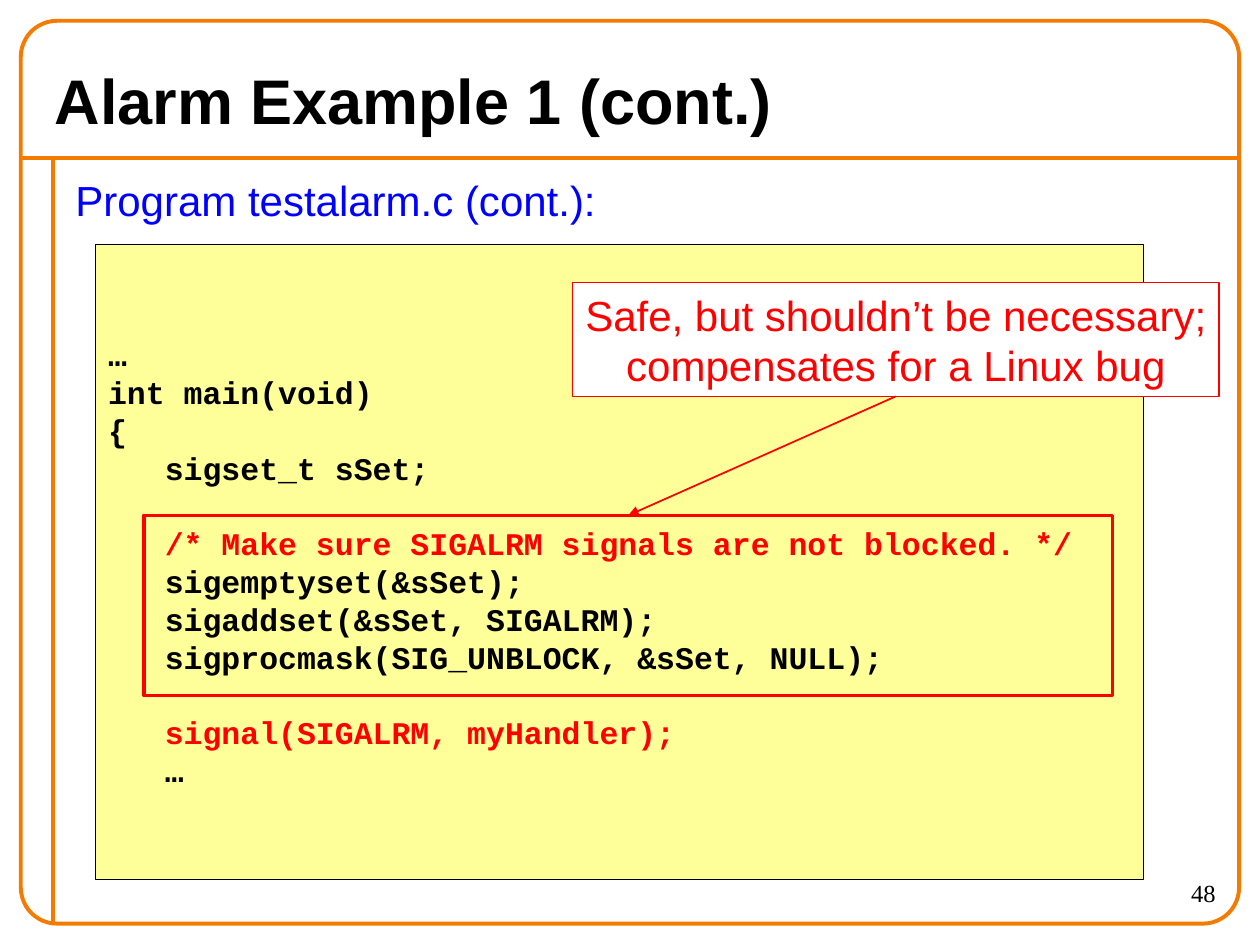
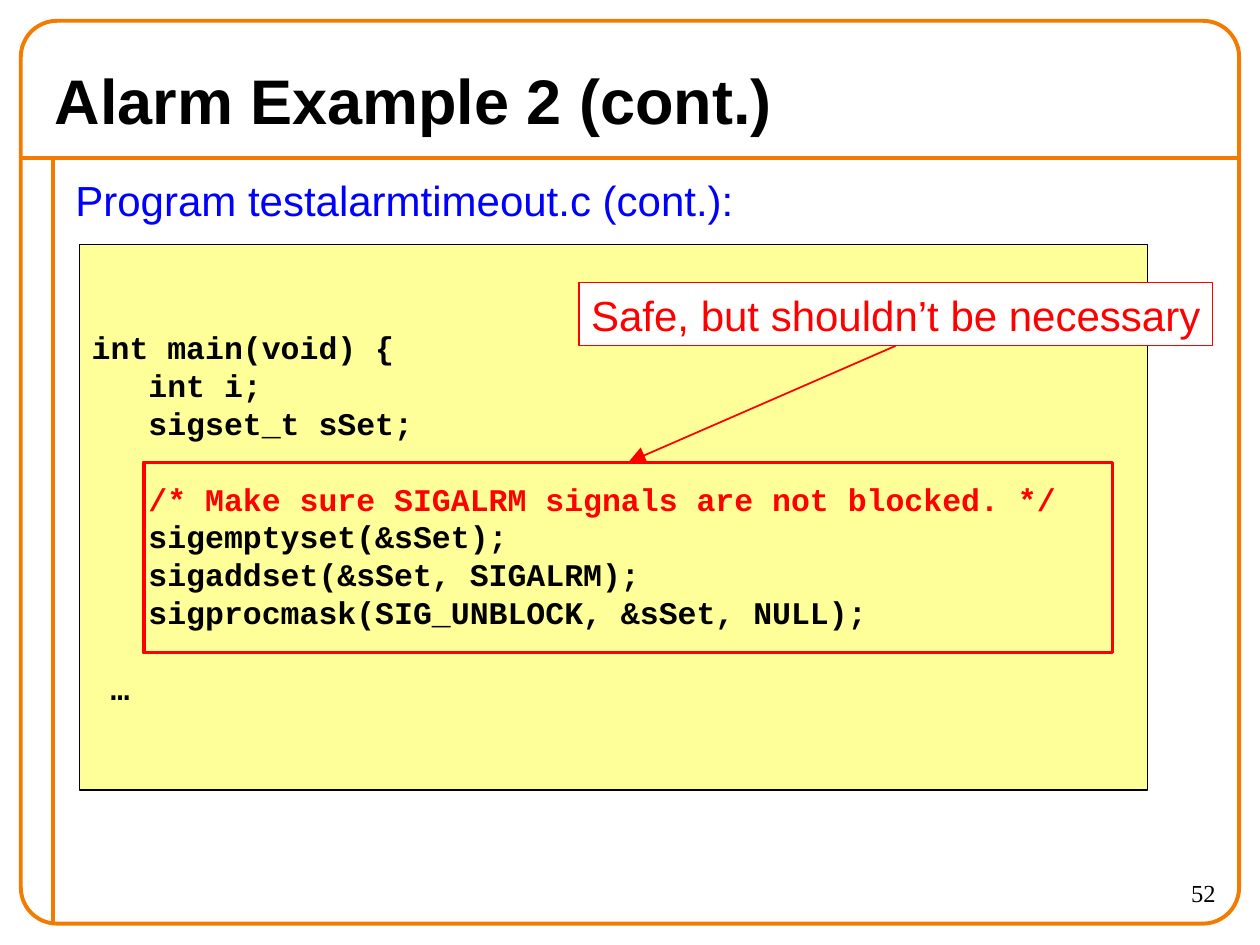
from dataclasses import dataclass

from pptx import Presentation
from pptx import util as u
from pptx.dml.color import RGBColor
from pptx.enum import shapes, text
from pptx.oxml import parse_xml
from pptx.oxml.ns import nsdecls, qn

# Shared colours and text styles
ORANGE, BLACK, WHITE = "F47A00", "000000", "FFFFFF"
BLUE, RED, YELLOW = "0000FF", "FF0000", "FFFF99"
LEFT, CENTER, RIGHT = text.PP_ALIGN.LEFT, text.PP_ALIGN.CENTER, text.PP_ALIGN.RIGHT
TOP, MIDDLE = text.MSO_ANCHOR.TOP, text.MSO_ANCHOR.MIDDLE
LEADING = 1.2  # line height relative to the text size


@dataclass(frozen=True)
class TextStyle:
    font: str
    size: int
    color: str
    bold: bool = False
    align: text.PP_ALIGN = LEFT
    anchor: text.MSO_ANCHOR = TOP
    wrap: bool = True


TITLE = TextStyle("Arial", 36, BLACK, bold=True, anchor=MIDDLE)
SUBTITLE = TextStyle("Arial", 24, BLUE)
CODE = TextStyle("Courier New", 18, BLACK, bold=True, anchor=MIDDLE)
CALLOUT = TextStyle("Arial", 24, RED, align=CENTER, wrap=False)
NUMBER = TextStyle("Times New Roman", 14, BLACK, align=RIGHT)


@dataclass(frozen=True)
class Area:
    """Left, top, width and height in centimetres."""
    left: float
    top: float
    width: float
    height: float

    def lengths(self) -> tuple:
        return tuple(u.Cm(v) for v in (self.left, self.top, self.width, self.height))


@dataclass(frozen=True)
class CodeSlide:
    title: str
    subtitle: str
    number: int
    code: str
    code_area: Area
    callout: str
    callout_width: float
    highlight: Area
    arrow_size: str


# Slide content
UNBLOCK = """
   /* Make sure SIGALRM signals are not blocked. */
   sigemptyset(&sSet);
   sigaddset(&sSet, SIGALRM);
   sigprocmask(SIG_UNBLOCK, &sSet, NULL);
"""
RED_STARTS = ("/*", "signal(")

SLIDES = [
    CodeSlide(
        title="Alarm Example 1 (cont.)",
        subtitle="Program testalarm.c (cont.):",
        number=48,
        code=f"""…
int main(void)
{{
   sigset_t sSet;
{UNBLOCK}
   signal(SIGALRM, myHandler);
   …""",
        code_area=Area(1.93, 4.93, 21.13, 12.8),
        callout="Safe, but shouldn’t be necessary;\ncompensates for a Linux bug",
        callout_width=13.03,
        highlight=Area(2.9, 10.39, 19.53, 3.63),
        arrow_size="med",
    ),
    CodeSlide(
        title="Alarm Example 2 (cont.)",
        subtitle="Program testalarmtimeout.c (cont.):",
        number=52,
        code=f"""int main(void) {{
   int i;
   sigset_t sSet;
{UNBLOCK}
 …""",
        code_area=Area(1.6, 4.93, 21.54, 11),
        callout="Safe, but shouldn’t be necessary",
        callout_width=12.78,
        highlight=Area(2.9, 9.32, 19.53, 3.84),
        arrow_size="lg",
    ),
]


# Drawing helpers
def rgb(color: str) -> RGBColor:
    return RGBColor.from_string(color)


def set_all(target, values: dict) -> None:
    for name, value in values.items():
        setattr(target, name, value)


def write(shape, content: str, style: TextStyle) -> None:
    """Write one paragraph per line; an empty line becomes space before the next."""
    frame = shape.text_frame
    set_all(frame, {
        "auto_size": text.MSO_AUTO_SIZE.NONE, "word_wrap": style.wrap,
        "vertical_anchor": style.anchor,
        "margin_left": u.Cm(0.25), "margin_right": u.Cm(0.25),
        "margin_top": u.Cm(0.13), "margin_bottom": u.Cm(0.13),
    })
    line_height = u.Pt(style.size * LEADING)
    para, gap = None, 0
    for line in content.split("\n"):
        if not line:
            gap = line_height
            continue
        para = frame.add_paragraph() if para else frame.paragraphs[0]
        set_all(para, {"alignment": style.align, "line_spacing": line_height,
                       "space_before": gap})
        span = para.add_run()
        span.text = line
        set_all(span.font, {"name": style.font, "size": u.Pt(style.size),
                            "bold": style.bold})
        is_red = line.lstrip().startswith(RED_STARTS)
        span.font.color.rgb = rgb(RED if is_red else style.color)
        gap = 0


def add_text(page, area: Area, content: str, style: TextStyle) -> None:
    write(page.shapes.add_textbox(*area.lengths()), content, style)


def add_box(page, area: Area, line: str, weight: float, fill: str = "",
            kind: shapes.MSO_SHAPE = shapes.MSO_SHAPE.RECTANGLE):
    box = page.shapes.add_shape(kind, *area.lengths())
    box.shadow.inherit = False
    if fill:
        box.fill.solid()
        box.fill.fore_color.rgb = rgb(fill)
    else:
        box.fill.background()
    box.line.color.rgb = rgb(line)
    box.line.width = u.Pt(weight)
    return box


def add_line(page, start: tuple, end: tuple, color: str, weight: float):
    points = [u.Cm(v) for v in (*start, *end)]
    line = page.shapes.add_connector(shapes.MSO_CONNECTOR.STRAIGHT, *points)
    line.line.color.rgb = rgb(color)
    line.line.width = u.Pt(weight)
    properties = line._element.find(qn("p:spPr"))
    properties.append(parse_xml(f"<a:effectLst {nsdecls('a')}/>"))
    return line


def add_arrow(page, source, target, size: str) -> None:
    """Point from the bottom of source to the top of target."""
    arrow = add_line(page, (0, 0), (1, 1), RED, 1)
    arrow.begin_connect(source, 2)
    arrow.end_connect(target, 0)
    arrow.line._get_or_add_ln().append(parse_xml(
        f'<a:tailEnd {nsdecls("a")} type="triangle" w="{size}" len="{size}"/>'))


# Parts of every slide
def add_frame(page, number: int) -> None:
    add_line(page, (0.42, 3.18), (24.98, 3.18), ORANGE, 2.25)
    add_line(page, (1.06, 3.18), (1.06, 18.63), ORANGE, 2.25)
    border = add_box(page, Area(0.42, 0.42, 24.56, 18.2), ORANGE, 2.25,
                     kind=shapes.MSO_SHAPE.ROUNDED_RECTANGLE)
    border.adjustments[0] = 0.04
    add_text(page, Area(22.22, 17.57, 2.54, 1.06), str(number), NUMBER)


def add_title(page, content: str) -> None:
    title = page.shapes.title
    area = Area(0.85, 1.06, 22.4, 1.9).lengths()
    set_all(title, dict(zip(("left", "top", "width", "height"), area)))
    write(title, content, TITLE)


def add_callout(page, content: str, width: float):
    height = 0.25 + 1.02 * len(content.split("\n"))
    area = Area(18.06 - width / 2, 5.7, width, height)
    callout = add_box(page, area, RED, 0.75, WHITE)
    write(callout, content, CALLOUT)
    return callout


def add_code_slide(deck, slide: CodeSlide) -> None:
    page = deck.slides.add_slide(deck.slide_layouts[5])
    add_frame(page, slide.number)
    add_title(page, slide.title)
    add_text(page, Area(1.27, 3.39, 23.5, 15.24), slide.subtitle, SUBTITLE)
    listing = add_box(page, slide.code_area, BLACK, 0.75, YELLOW)
    write(listing, slide.code, CODE)
    callout = add_callout(page, slide.callout, slide.callout_width)
    highlight = add_box(page, slide.highlight, RED, 2)
    add_arrow(page, callout, highlight, slide.arrow_size)


def main() -> None:
    deck = Presentation()
    set_all(deck, {"slide_width": u.Cm(25.4), "slide_height": u.Cm(19.05)})
    for slide in SLIDES:
        add_code_slide(deck, slide)
    deck.save("out.pptx")


if __name__ == "__main__":
    main()
